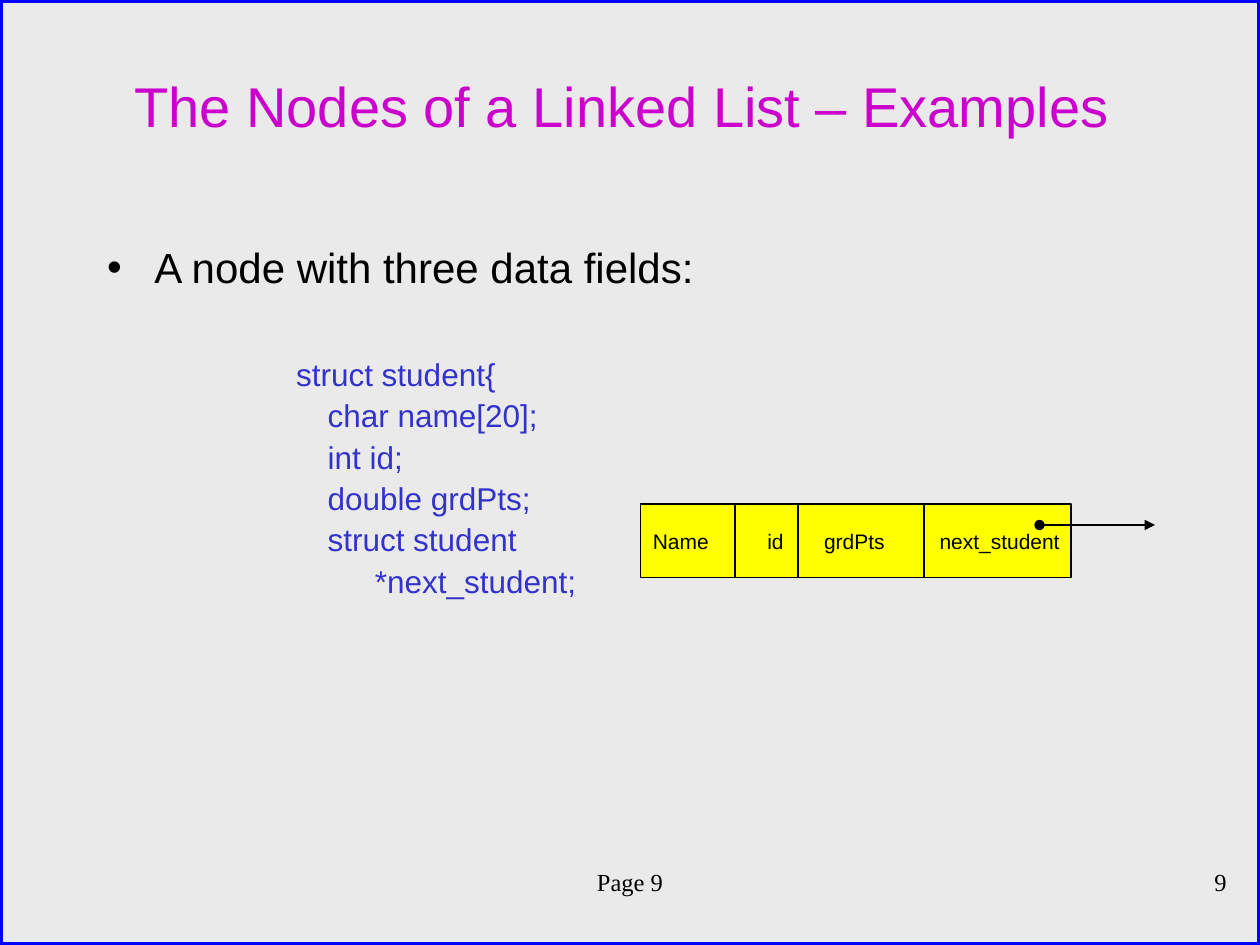
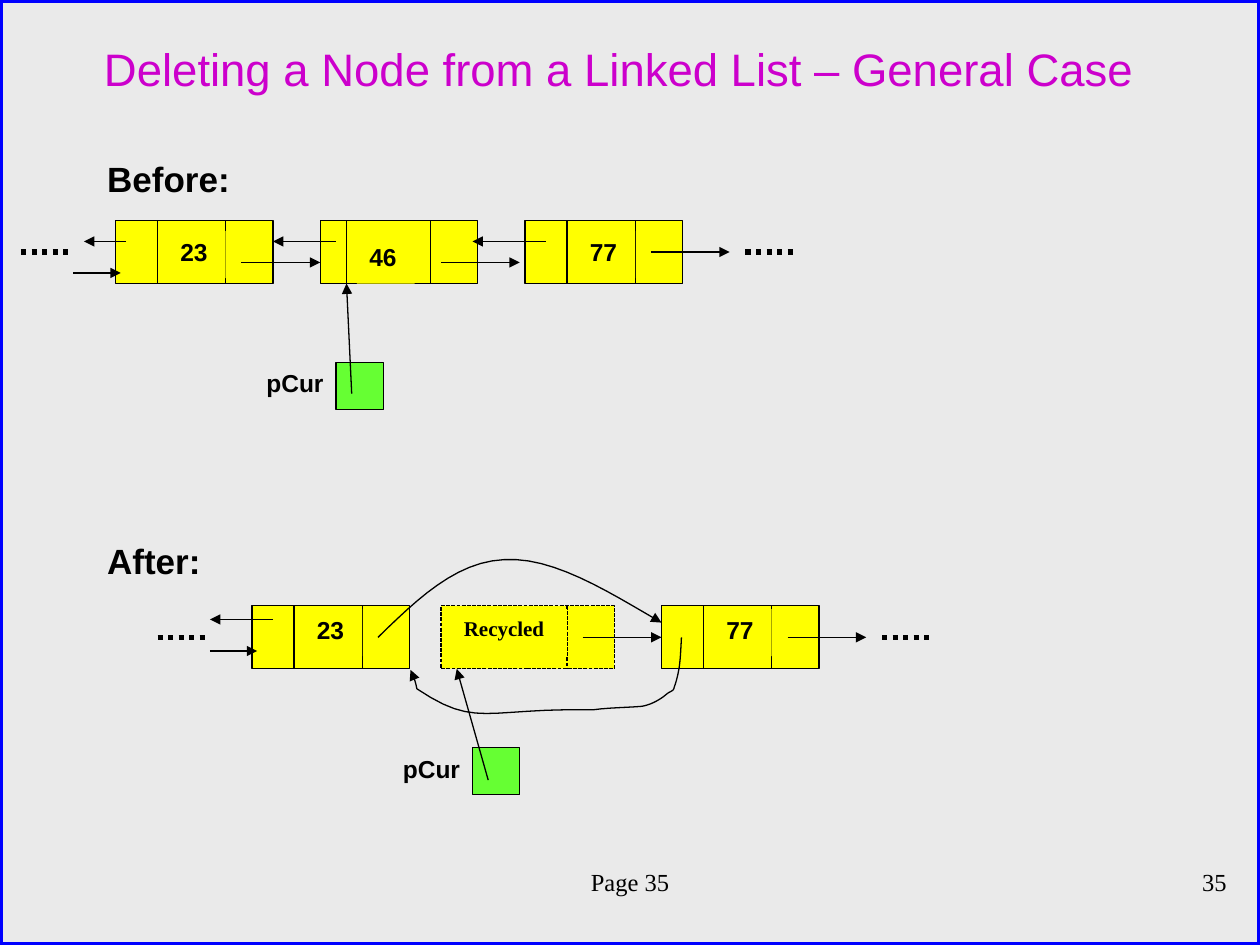
from lxml.etree import SubElement
from pptx import Presentation
from pptx.dml.color import RGBColor
from pptx.enum.dml import MSO_LINE
from pptx.enum.shapes import MSO_CONNECTOR, MSO_SHAPE
from pptx.enum.text import MSO_ANCHOR, MSO_AUTO_SIZE, PP_ALIGN
from pptx.oxml.ns import qn
from pptx.util import Pt

SCALE = 7620
WIDE, HIGH = 1200, 900
GREY = RGBColor(0xEA, 0xEA, 0xEA)
BLUE = RGBColor(0x00, 0x00, 0xFF)
PINK = RGBColor(0xCC, 0x00, 0xCC)
INDIGO = RGBColor(0x33, 0x33, 0xCC)
BLACK = RGBColor(0x00, 0x00, 0x00)
YELLOW = RGBColor(0xFF, 0xFF, 0x00)
GREEN = RGBColor(0x66, 0xFF, 0x33)
SANS, SERIF = "Arial", "Times New Roman"


def px(*sizes):
    return [size * SCALE for size in sizes]


def write(para, text, size, color=BLACK, face=SANS, bold=False):
    run = para.add_run()
    run.text = text
    font = run.font
    font.size, font.name, font.bold = Pt(size), face, bold
    font.color.rgb = color


def ends(line, head=None, tail=None):
    ln = line._get_or_add_ln()
    for tag, kind in (("a:headEnd", head), ("a:tailEnd", tail)):
        if kind:
            SubElement(ln, qn(tag), type=kind)


def stroke(slide, start, end, width=0.75, dash=None, head=None, tail=None):
    link = slide.shapes.add_connector(MSO_CONNECTOR.STRAIGHT, *px(*start, *end))
    link.line.color.rgb = BLACK
    link.line.width = Pt(width)
    if dash:
        link.line.dash_style = dash
    ends(link.line, head, tail)
    SubElement(link._element.spPr, qn("a:effectLst"))


def box(slide, spot, fill, edge=BLACK, width=0.75, dash=None):
    shape = slide.shapes.add_shape(MSO_SHAPE.RECTANGLE, *px(*spot))
    shape.shadow.inherit = False
    shape.fill.solid()
    shape.fill.fore_color.rgb = fill
    if edge is None:
        shape.line.fill.background()
    else:
        shape.line.color.rgb = edge
        shape.line.width = Pt(width)
    if dash:
        shape.line.dash_style = dash
    shape.text_frame.vertical_anchor = MSO_ANCHOR.TOP
    shape.text_frame.paragraphs[0].alignment = PP_ALIGN.LEFT
    return shape


def label(slide, spot, text, align, face=SANS, bold=False):
    frame = slide.shapes.add_textbox(*px(*spot)).text_frame
    frame.word_wrap = True
    para = frame.paragraphs[0]
    para.alignment = align
    write(para, text, 14, face=face, bold=bold)


def place(holder, spot, anchor):
    holder.left, holder.top, holder.width, holder.height = px(*spot)
    frame = holder.text_frame
    frame.auto_size = MSO_AUTO_SIZE.NONE
    frame.word_wrap = True
    frame.vertical_anchor = anchor
    return frame


def start(deck, title, size, spot, page):
    slide = deck.slides.add_slide(deck.slide_layouts[1])
    slide.background.fill.solid()
    slide.background.fill.fore_color.rgb = GREY
    border = box(slide, (0, 0, WIDE, HIGH), GREY, BLUE, 3)
    slide.shapes._spTree.insert(2, border._element)
    frame = place(slide.shapes.title, spot, MSO_ANCHOR.MIDDLE)
    frame.paragraphs[0].alignment = PP_ALIGN.CENTER
    write(frame.paragraphs[0], title, size, PINK)
    label(slide, (80, 820, 1040, 60), f"Page {page}", PP_ALIGN.CENTER, SERIF)
    label(slide, (930, 820, 250, 60), str(page), PP_ALIGN.RIGHT, SERIF)
    return slide


def body(slide, spot):
    frame = place(slide.placeholders[1], spot, MSO_ANCHOR.TOP)
    frame.margin_top = 10 * SCALE
    return frame


def item(frame, gap=0, left=0, first=0, mark=None):
    para = frame.paragraphs[0] if not frame.paragraphs[0].runs else frame.add_paragraph()
    para.alignment = PP_ALIGN.LEFT
    para.space_before = Pt(gap)
    props = para._p.get_or_add_pPr()
    props.set("marL", str(left * SCALE))
    props.set("indent", str(first * SCALE))
    if mark:
        SubElement(props, qn("a:buChar"), char=mark)
    else:
        SubElement(props, qn("a:buNone"))
    return para


def record(slide, x, y):
    wide, high = 410, 70
    shape = box(slide, (x, y, wide, high), YELLOW)
    frame = shape.text_frame
    frame.word_wrap = True
    frame.margin_right = 0
    frame.vertical_anchor = MSO_ANCHOR.MIDDLE
    para = frame.paragraphs[0]
    tabs = SubElement(para._p.get_or_add_pPr(), qn("a:tabLst"))
    for stop in (109, 163, 273):
        SubElement(tabs, qn("a:tab"), pos=str(stop * SCALE), algn="l")
    write(para, "Name\tid\tgrdPts\tnext_student", 12)
    for cut in (90, 150, 270):
        stroke(slide, (x + cut, y), (x + cut, y + high))
    stroke(slide, (x + 380, y + 20), (x + 490, y + 20), 1.5, head="oval", tail="triangle")


def fields(deck):
    slide = start(deck, "The Nodes of a Linked List – Examples ", 32, (90, 50, 1020, 100), 9)
    frame = body(slide, (90, 220, 1020, 650))
    write(item(frame, left=45, first=-45, mark="•"), "A node with three data fields:", 24)
    code = [
        (36, 180, "struct student{"),
        (2, 210, "char name[20];"),
        (2, 210, "int id;"),
        (2, 210, "double grdPts;"),
        (2, 210, "struct student"),
        (2, 255, "*next_student;"),
    ]
    for gap, left, text in code:
        write(item(frame, gap, left), text, 18, INDIGO)
    record(slide, 610, 480)


def node(slide, x, y, text, drop, cuts=(40, 105), inset=50, wide=150,
         room=55, size=14, face=SANS, dash=None):
    box(slide, (x, y, wide, 60), YELLOW, dash=dash)
    for cut in cuts:
        stroke(slide, (x + cut, y), (x + cut, y + 60), dash=dash)
    tag = box(slide, (x + inset, y + drop, room, 45), YELLOW, None)
    write(tag.text_frame.paragraphs[0], text, size, face=face, bold=True)


def chain(slide, x, y, drop, middle, arrows):
    for dot in (0, 690):
        stroke(slide, (x + dot, y + 30), (x + dot + 45, y + 30), 3, MSO_LINE.ROUND_DOT)
    node(slide, x + 90, y, "23", drop)
    node(slide, x + middle.pop("left"), y, **middle)
    node(slide, x + 480, y, "77", drop)
    box(slide, (x + 300, y + 135, 45, 45), GREEN)
    label(slide, (x + 195, y + 135, 105, 45), "pCur", PP_ALIGN.RIGHT, bold=True)
    for x1, y1, x2, y2 in arrows + [(600, 30, 675, 30)]:
        stroke(slide, (x + x1, y + y1), (x + x2, y + y2), tail="triangle")


def curve(slide, x, y, begin, bends, steps=12):
    points, last = [], begin
    for bend in bends:
        knots = (last, *bend)
        for step in range(1, steps + 1):
            t = step / steps
            parts = ((1 - t) ** 3, 3 * t * (1 - t) ** 2, 3 * t * t * (1 - t), t ** 3)
            points.append(tuple(
                round((base + sum(p * k[axis] for p, k in zip(parts, knots))) * SCALE)
                for axis, base in enumerate((x, y))))
        last = bend[-1]
    path = slide.shapes.build_freeform(*px(x + begin[0], y + begin[1]))
    path.add_line_segments(points, close=False)
    shape = path.convert_to_shape()
    shape.shadow.inherit = False
    shape.fill.background()
    shape.line.color.rgb = BLACK
    shape.line.width = Pt(0.75)
    ends(shape.line, tail="triangle")


def delete(deck):
    slide = start(deck, "Deleting a Node from a Linked List – General Case", 26,
                  (80, 20, 1020, 90), 35)
    frame = body(slide, (90, 140, 1090, 700))
    for gap, text in ((0, "Before:"), (194, "After:")):
        write(item(frame, gap), text, 20, bold=True)

    chain(slide, 20, 210, 10,
          dict(left=285, text="46", drop=15, cuts=(25, 105), inset=35),
          [(50, 50, 95, 50), (100, 20, 60, 20), (210, 40, 285, 40), (400, 40, 475, 40),
           (500, 20, 430, 20), (300, 20, 240, 20), (315, 165, 310, 60)])

    x, y = 150, 577
    chain(slide, x, y, 3,
          dict(left=270, text="Recycled", drop=3, cuts=(120,), inset=10, wide=165,
               room=110, size=12, face=SERIF, dash=MSO_LINE.SQUARE_DOT),
          [(50, 43, 95, 43), (110, 13, 50, 13), (405, 30, 480, 30), (315, 166, 285, 60)])
    curve(slide, x, y, (210, 30), [
        ((247, -6), (284, -42), (330, -44)),
        ((376, -47), (427, -15), (480, 16)),
    ])
    curve(slide, x, y, (499, 30), [
        ((498, 49), (498, 61), (492, 78)),
        ((492, 81), (487, 82), (485, 84)),
        ((478, 90), (467, 96), (457, 96)),
        ((443, 97), (430, 97), (415, 99)),
        ((311, 97), (304, 117), (247, 79)),
        ((246, 73), (244, 67), (241, 61)),
    ])


def main():
    deck = Presentation()
    deck.slide_width, deck.slide_height = px(WIDE, HIGH)
    fields(deck)
    delete(deck)
    deck.save("out.pptx")


if __name__ == "__main__":
    main()
